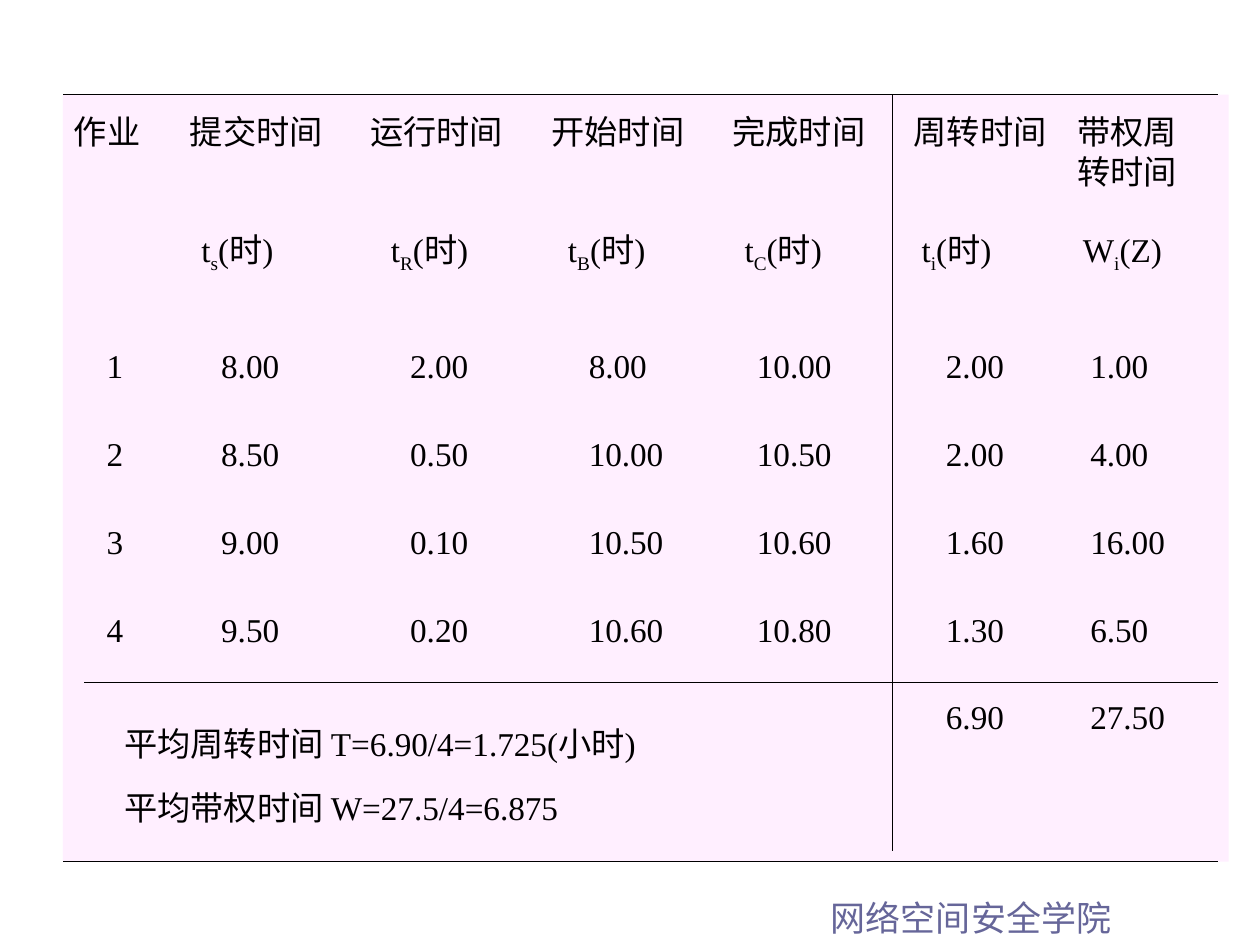
import pptx
import pptx.dml.color
import pptx.enum.shapes
import pptx.enum.text
import pptx.oxml
import pptx.oxml.ns
import pptx.util
from pptx.util import Cm

BLACK = pptx.dml.color.RGBColor(0x00, 0x00, 0x00)
PINK = pptx.dml.color.RGBColor(0xFF, 0xEF, 0xFF)
SLATE = pptx.dml.color.RGBColor(0x66, 0x66, 0x99)
LATIN_FONT = "Times New Roman"
CJK_FONT = "Noto Sans CJK JP"

# Each column: title, symbol, values, each with its own left edge and width (cm)
COLUMNS = [
    {"title": ("作业", 1.24, 1.93),
     "values": (["1", "2", "3", "4"], 1.9, 0.9)},
    {"title": ("提交时间", 3.58, 3.25),
     "symbol": (("t", "s", "(时)"), 3.81, 2.36),
     "values": (["8.00", "8.50", "9.00", "9.50"], 4.21, 1.75)},
    {"title": ("运行时间", 7.21, 3.25),
     "symbol": (("t", "R", "(时)"), 7.63, 2.46),
     "values": (["2.00", "0.50", "0.10", "0.20"], 8.02, 1.75)},
    {"title": ("开始时间", 10.87, 3.25),
     "symbol": (("t", "B", "(时)"), 11.2, 2.46),
     "values": (["8.00", "10.00", "10.50", "10.60"], 11.62, 2.08)},
    {"title": ("完成时间", 14.52, 3.25),
     "symbol": (("t", "C", "(时)"), 14.76, 2.46),
     "values": (["10.00", "10.50", "10.60", "10.80"], 15.01, 2.08)},
    {"title": ("周转时间", 18.17, 3.25),
     "symbol": (("t", "i", "(时)"), 18.33, 2.31),
     "values": (["2.00", "2.00", "1.60", "1.30", "6.90"], 18.82, 1.75)},
    {"title": ("带权周\n转时间", 21.47, 2.59),
     "symbol": (("W", "i", "(Z)"), 21.58, 2.18),
     "values": (["1.00", "4.00", "16.00", "6.50", "27.50"], 21.73, 2.08)},
]
AVERAGES = ["平均周转时间 T=6.90/4=1.725(小时)", "平均带权时间 W=27.5/4=6.875"]
FOOTER = "网络空间安全学院"

TITLE_TOP, SYMBOL_TOP, VALUES_TOP = 2.12, 4.5, 5.88
LINE_HEIGHT, ROW_HEIGHT = 0.8, 1.77
PANEL_LEFT, PANEL_TOP, PANEL_WIDTH, PANEL_HEIGHT = 1.27, 1.91, 23.5, 15.46
PANEL_BOTTOM = PANEL_TOP + PANEL_HEIGHT
RULE_RIGHT = 24.56
RULES = [
    (17.99, PANEL_TOP, 17.99, 17.15),
    (1.7, 13.76, RULE_RIGHT, 13.76),
    (PANEL_LEFT, PANEL_BOTTOM, RULE_RIGHT, PANEL_BOTTOM),
    (PANEL_LEFT, PANEL_TOP, RULE_RIGHT, PANEL_TOP),
]


def add_text(page, lines, left, top, width, height, spacing=1.0, size=19,
             color=BLACK, latin=LATIN_FONT, wrap=False):
    """Add a text box; a line given as a tuple has its second part lowered."""
    box = page.shapes.add_textbox(Cm(left), Cm(top), Cm(width), Cm(height))
    frame = box.text_frame
    frame.word_wrap = wrap
    frame.auto_size = pptx.enum.text.MSO_AUTO_SIZE.SHAPE_TO_FIT_TEXT
    for number, line in enumerate(lines):
        para = frame.add_paragraph() if number else frame.paragraphs[0]
        para.line_spacing = spacing
        if isinstance(line, tuple):
            base, index, unit = line
            add_span(para, base, size, color, latin)
            lowered = add_span(para, index, size, color, latin)
            lowered.font._element.set("baseline", "-25000")
            add_span(para, unit, size, color, latin)
            continue
        for part_number, part in enumerate(line.split("\n")):
            if part_number:
                para.add_line_break()
            add_span(para, part, size, color, latin)


def add_span(para, text, size, color, latin):
    span = para.add_run()
    span.text = text
    span.font.size = pptx.util.Pt(size)
    span.font.color.rgb = color
    span.font.name = latin
    east_asian = pptx.oxml.parse_xml(
        f'<a:ea {pptx.oxml.ns.nsdecls("a")} typeface="{CJK_FONT}"/>')
    span.font._element.append(east_asian)
    return span


def add_rule(page, *ends):
    rule = page.shapes.add_connector(
        pptx.enum.shapes.MSO_CONNECTOR.STRAIGHT, *map(Cm, ends))
    rule.line.color.rgb = BLACK
    rule.line.width = pptx.util.Pt(0.75)
    rule._element.spPr.append(pptx.oxml.parse_xml(
        f'<a:effectLst {pptx.oxml.ns.nsdecls("a")}/>'))


def main():
    deck = pptx.Presentation()
    deck.slide_width, deck.slide_height = Cm(25.4), Cm(19.05)
    page = deck.slides.add_slide(deck.slide_layouts[6])

    add_text(page, [FOOTER], 16.5, 17.95, 8.89, 1.12,
             size=20, color=SLATE, latin=CJK_FONT, wrap=True)

    panel = page.shapes.add_shape(
        pptx.enum.shapes.MSO_SHAPE.RECTANGLE,
        Cm(PANEL_LEFT), Cm(PANEL_TOP), Cm(PANEL_WIDTH), Cm(PANEL_HEIGHT))
    panel.shadow.inherit = False
    panel.fill.solid()
    panel.fill.fore_color.rgb = PINK
    panel.line.fill.background()

    for column in COLUMNS:
        title, left, width = column["title"]
        height = 0.24 + LINE_HEIGHT * len(title.split("\n"))
        add_text(page, [title], left, TITLE_TOP, width, height)
        if "symbol" in column:
            symbol, left, width = column["symbol"]
            add_text(page, [symbol], left, SYMBOL_TOP, width, 1.17)
        values, left, width = column["values"]
        add_text(page, values, left, VALUES_TOP, width,
                 0.24 + ROW_HEIGHT * len(values), spacing=2.2)

    add_text(page, AVERAGES, 2.26, 13.97, 11.4, 2.82, spacing=1.6)
    for ends in RULES:
        add_rule(page, *ends)
    deck.save("out.pptx")


if __name__ == "__main__":
    main()
